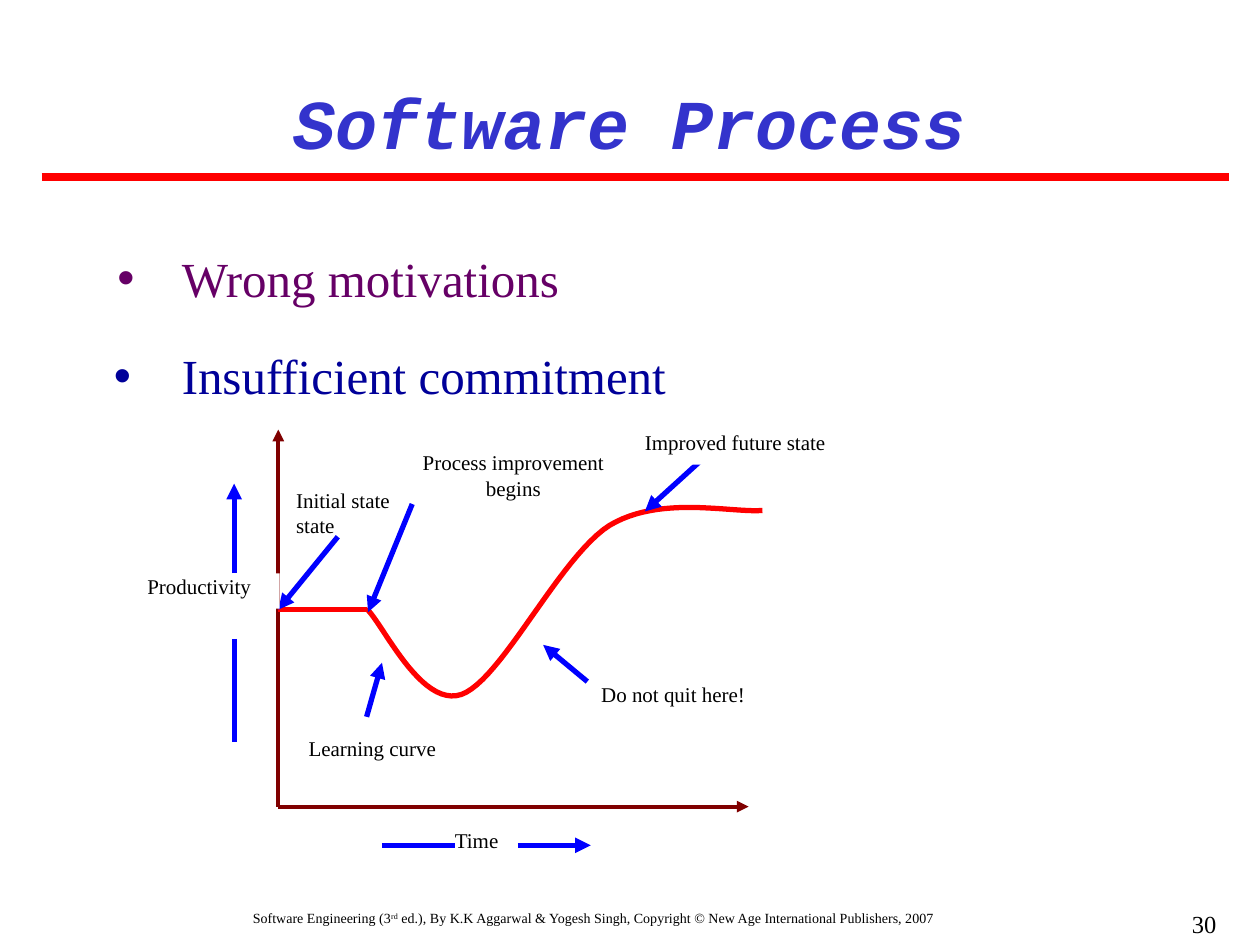
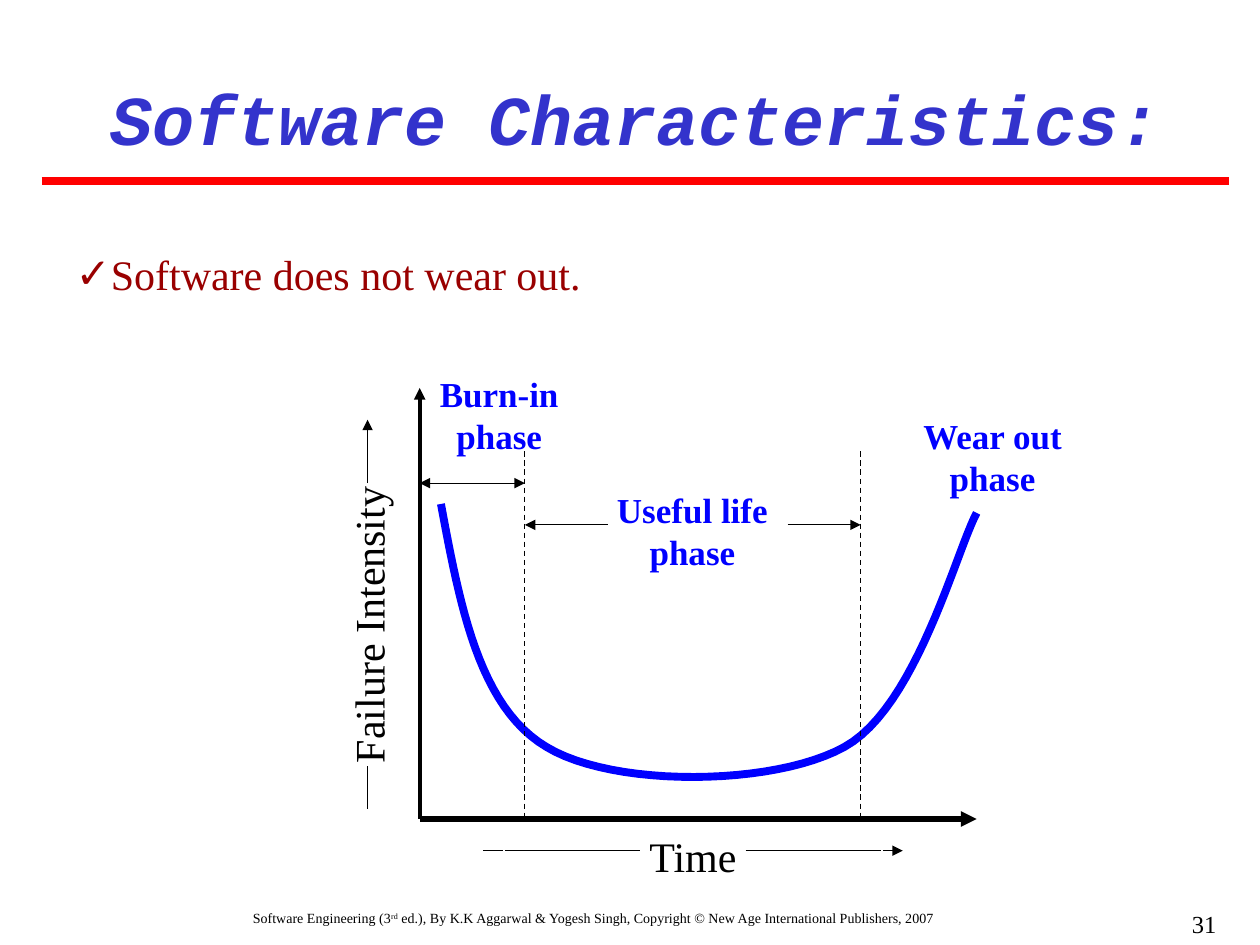
"""Build two software engineering slides: the process improvement curve and the failure bathtub curve."""
from dataclasses import dataclass

from lxml import etree
from pptx import Presentation
from pptx.dml.color import RGBColor
from pptx.enum.dml import MSO_LINE
from pptx.enum.shapes import MSO_CONNECTOR, MSO_SHAPE
from pptx.enum.text import MSO_ANCHOR as ANCHOR, MSO_AUTO_SIZE, PP_ALIGN as ALIGN
from pptx.oxml.ns import qn
from pptx.util import Cm, Pt


@dataclass(frozen=True)
class Theme:
    title_font: str = "Courier New"
    text_font: str = "Times New Roman"
    title: str = "3333CC"
    red: str = "FF0000"
    blue: str = "0000FF"
    maroon: str = "800000"
    crimson: str = "990000"
    purple: str = "660066"
    navy: str = "000099"
    black: str = "000000"
    white: str = "FFFFFF"
    title_size: int = 40
    list_size: int = 28
    axis_size: int = 24
    phase_size: int = 20
    number_size: int = 14
    note_size: int = 12
    footer_size: int = 8


theme = Theme()


def write_run(paragraph, text, size, colour, font=theme.text_font, bold=False, italic=False):
    run = paragraph.add_run()
    run.text = text
    run.font.name = font
    run.font.size = Pt(size)
    run.font.bold = bold
    run.font.italic = italic
    run.font.color.rgb = RGBColor.from_string(colour)
    return run


def draw_line(slide, ends, colour, width, arrows="", dashed=False):
    connector = slide.shapes.add_connector(MSO_CONNECTOR.STRAIGHT, *map(Cm, ends))
    connector.line.color.rgb = RGBColor.from_string(colour)
    connector.line.width = Pt(width)
    if dashed:
        connector.line.dash_style = MSO_LINE.DASH
    properties = connector.element.spPr
    for arrow in arrows.split():
        etree.SubElement(properties.find(qn("a:ln")), qn(f"a:{arrow}End"), type="triangle")
    etree.SubElement(properties, qn("a:effectLst"))
    return connector


deck = Presentation()
deck.slide_width, deck.slide_height = Cm(25.4), Cm(19.05)

contents = [
    {
        "title": "Software Process",
        "title_box": (0.84, 1.47, 23.7, 1.96),
        "rule_y": 3.56,
        "list_box": (0.84, 4.88, 18.2, 3.4),
        "list": [("Wrong motivations", "•", theme.list_size, theme.purple, 2.57, -1.3),
                 ("Insufficient commitment", "•", theme.list_size, theme.navy, 2.57, -1.37)],
        "curve": [(7.39, 12.27), (7.72, 12.57), (8.48, 14.27), (9.3, 14), (10.11, 13.72),
                  (11.28, 11.23), (12.29, 10.59), (13.31, 9.98), (14.73, 10.34), (15.37, 10.29)],
        "curve_line": (theme.red, 3),
        "number": "30",
    },
    {
        "title": "Software Characteristics:",
        "title_box": (1.47, 1.4, 22.66, 1.96),
        "rule_y": 3.64,
        "list_box": (1.27, 4.88, 22.66, 1.27),
        "list": [("Software does not wear out.", "✓", theme.axis_size, theme.crimson, 0.71, -0.71)],
        "curve": [(8.89, 10.16), (9.27, 12.19), (9.65, 14.25), (11.02, 15.06), (12.37, 15.88),
                  (15.6, 15.85), (17.02, 15.06), (18.47, 14.27), (19.28, 11.1), (19.69, 10.34)],
        "curve_line": (theme.blue, 4.5),
        "number": "31",
    },
]

for content in contents:
    slide = deck.slides.add_slide(deck.slide_layouts[1])
    heading, points = slide.shapes.title, slide.placeholders[1]
    for holder, box in ((heading, content["title_box"]), (points, content["list_box"])):
        holder.left, holder.top, holder.width, holder.height = map(Cm, box)
        holder.text_frame.auto_size = MSO_AUTO_SIZE.NONE
        holder.text_frame.vertical_anchor = ANCHOR.TOP
    title_line = heading.text_frame.paragraphs[0]
    title_line.alignment = ALIGN.CENTER
    write_run(title_line, content["title"], theme.title_size, theme.title, theme.title_font, True, True)

    for index, (text, bullet, size, colour, margin, indent) in enumerate(content["list"]):
        point = points.text_frame.add_paragraph() if index else points.text_frame.paragraphs[0]
        layout = point._p.get_or_add_pPr()
        layout.set("marL", str(Cm(margin)))
        layout.set("indent", str(Cm(indent)))
        etree.SubElement(layout, qn("a:buChar"), char=bullet)
        point.space_before = Pt(22 if index else 0)
        write_run(point, text, size, colour)

    draw_line(slide, (0.84, content["rule_y"], 24.77, content["rule_y"]), theme.red, 4.5)

    knots = content["curve"]
    trace = []
    for start in range(0, len(knots) - 1, 3):
        for step in range(1, 25):
            t = step / 24
            weights = ((1 - t) ** 3, 3 * t * (1 - t) ** 2, 3 * t ** 2 * (1 - t), t ** 3)
            trace.append(tuple(Cm(sum(w * knot[axis] for w, knot in zip(weights, knots[start:start + 4])))
                               for axis in (0, 1)))
    builder = slide.shapes.build_freeform(Cm(knots[0][0]), Cm(knots[0][1]))
    builder.add_line_segments(trace, close=False)
    curve = builder.convert_to_shape()
    curve.shadow.inherit = False
    curve.fill.background()
    colour, width = content["curve_line"]
    curve.line.color.rgb = RGBColor.from_string(colour)
    curve.line.width = Pt(width)

    credit = [("Software Engineering (3", 0), ("rd", 30000),
              (" ed.), By K.K Aggarwal & Yogesh Singh, Copyright © New Age International Publishers, 2007", 0)]
    for left, width, align, size, runs in (
            (0.64, 22.66, ALIGN.CENTER, theme.footer_size, credit),
            (19.48, 5.29, ALIGN.RIGHT, theme.number_size, [(content["number"], 0)])):
        footer = slide.shapes.add_textbox(Cm(left), Cm(18.21), Cm(width), Cm(0.84)).text_frame
        footer.word_wrap = True
        footer.paragraphs[0].alignment = align
        for text, baseline in runs:
            run = write_run(footer.paragraphs[0], text, size, theme.black)
            if baseline:
                run._r.get_or_add_rPr().set("baseline", str(baseline))

process, bathtub = deck.slides

draw_line(process, (5.61, 8.66, 5.61, 16.26), theme.maroon, 2.25, "head")
draw_line(process, (5.61, 16.26, 15.09, 16.26), theme.maroon, 2.25, "tail")
draw_line(process, (5.61, 12.29, 7.39, 12.29), theme.red, 3)
draw_line(process, (4.72, 12.88, 4.72, 14.96), theme.blue, 3)
for pointer in ((7.39, 14.45, 7.7, 13.36), (4.72, 11.56, 4.72, 9.75), (6.81, 10.82, 5.61, 12.29),
                (8.31, 10.16, 7.42, 12.34), (11.84, 13.74, 10.95, 13), (14.2, 9.22, 13, 10.31)):
    draw_line(process, pointer, theme.blue, 3, "tail")

draw_line(bathtub, (8.46, 7.82, 8.46, 16.51), theme.black, 2.25, "head")
draw_line(bathtub, (8.46, 16.51, 19.69, 16.51), theme.black, 3, "tail")
for phase_x in (10.58, 17.35):
    draw_line(bathtub, (phase_x, 9.1, phase_x, 16.51), theme.black, 0.75, dashed=True)
for ends, arrows in (((8.46, 9.74, 10.58, 9.74), "head tail"),
                     ((10.58, 10.58, 12.27, 10.58), "head"),
                     ((15.88, 10.58, 17.35, 10.58), "tail"),
                     ((9.74, 17.15, 12.91, 17.15), ""),
                     ((15.03, 17.15, 18.2, 17.15), "tail"),
                     ((7.41, 9.74, 7.41, 8.46), "tail"),
                     ((7.41, 15.45, 7.41, 16.3), "")):
    draw_line(bathtub, ends, theme.black, 0.75, arrows)

note = (theme.note_size, theme.black, False)
phase = (theme.phase_size, theme.blue, True)
axis_name = (theme.axis_size, theme.black, False)
labels = [
    (process, ["Learning curve"], (6.22, 14.83, 3.25, 0.71), note, ALIGN.LEFT, 0),
    (process, ["Do not quit here!"], (12.12, 13.74, 4.42, 0.71), note, ALIGN.LEFT, 0),
    (process, ["Improved future state"], (13, 8.66, 4.14, 0.71), note, ALIGN.LEFT, 0),
    (process, ["Process improvement begins"], (8.43, 9.07, 3.84, 1.45), note, ALIGN.CENTER, 0),
    (process, ["Initial state state"], (5.97, 9.83, 2.06, 0.74), note, ALIGN.LEFT, 0),
    (process, ["Productivity"], (2.97, 11.56, 2.67, 0.71), note, ALIGN.LEFT, 0),
    (bathtub, ["Useful life", "phase"], (12.27, 9.96, 3.38, 1.47), phase, ALIGN.CENTER, 0),
    (bathtub, ["Wear out", "phase"], (18.21, 8.46, 3.6, 1.47), phase, ALIGN.CENTER, 0),
    (bathtub, ["Burn-in", "phase"], (9.53, 7.62, 1.07, 1.47), phase, ALIGN.CENTER, 0),
    (bathtub, ["Failure Intensity"], (6.88, 11.96, 1.07, 1.27), axis_name, ALIGN.CENTER, 270),
    (bathtub, ["Time"], (10.16, 16.71, 7.62, 1.07), axis_name, ALIGN.CENTER, 0),
    (process, ["Time"], (9.17, 16.68, 1.47, 0.72), note, ALIGN.LEFT, 0),
]
for slide, lines, box, (size, colour, bold), align, rotation in labels:
    label = slide.shapes.add_shape(MSO_SHAPE.RECTANGLE, *map(Cm, box))
    label.shadow.inherit = False
    label.rotation = rotation
    frame = label.text_frame
    if slide is process:
        label.fill.solid()
        label.fill.fore_color.rgb = RGBColor.from_string(theme.white)
        label.line.fill.background()
        frame.margin_left = frame.margin_top = frame.margin_right = frame.margin_bottom = 0
        frame.vertical_anchor = ANCHOR.TOP
        frame.word_wrap = True
    else:
        label.fill.background()
        label.line.color.rgb = RGBColor.from_string(theme.white)
        label.line.width = Pt(0.75)
        frame.vertical_anchor = ANCHOR.MIDDLE
        frame.word_wrap = False
    for index, text in enumerate(lines):
        paragraph = frame.add_paragraph() if index else frame.paragraphs[0]
        paragraph.alignment = align
        write_run(paragraph, text, size, colour, bold=bold)

process_time = label
time_lead = draw_line(process, (7.7, 17.04, 9.17, 17.04), theme.blue, 3)
time_lead.end_connect(process_time, 1)
draw_line(process, (10.44, 17.04, 11.91, 17.04), theme.blue, 3, "tail")

deck.save("out.pptx")
